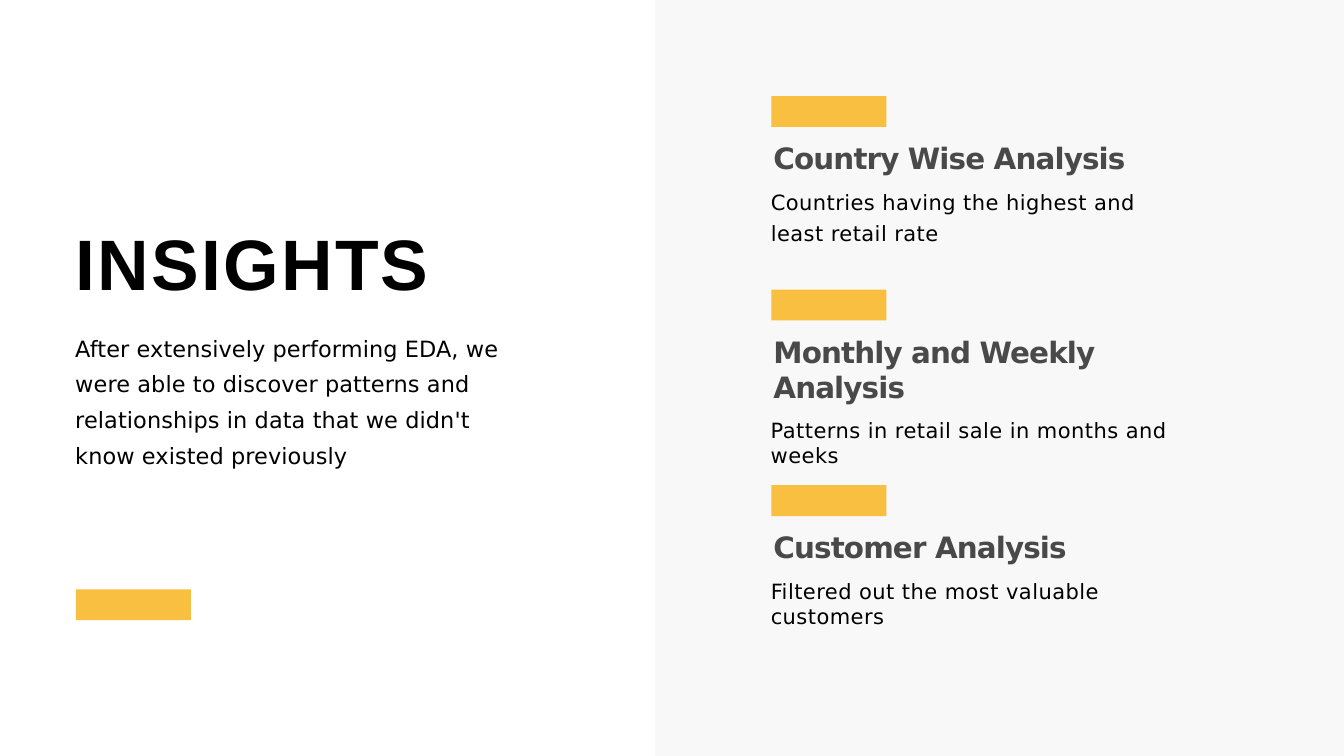
from lxml import etree
from pptx import Presentation
from pptx import util as u
from pptx.dml.color import RGBColor
from pptx.enum import shapes, text
from pptx.oxml.ns import qn

COLORS = {"panel": "DDDDDD", "accent": "F9BF40", "heading": "494949", "text": "000000"}
PANEL_OPACITY = 18

TITLE = "INSIGHTS"
SUMMARY = (
    "After extensively performing EDA, we were able to discover patterns and "
    "relationships in data that we didn't know existed previously"
)
TOPICS = [
    {"top": 1.43, "width": 6.15, "height": 1.87, "heading": "Country Wise Analysis",
     "detail": "Countries having the highest and least retail rate",
     "spacing": {"line_spacing": 1.25, "space_before": u.Pt(7.5)}},
    {"top": 4.31, "width": 6.83, "height": 1.4, "heading": "Monthly and Weekly Analysis",
     "detail": "Patterns in retail sale in months and weeks",
     "spacing": {"space_before": u.Pt(14.2)}},
    {"top": 7.22, "width": 6.55, "height": 1.4, "heading": "Customer Analysis",
     "detail": "Filtered out the most valuable customers",
     "spacing": {"space_before": u.Pt(14.2)}},
]

STYLES = {
    "title": {"font": {"name": "Arial", "size": u.Pt(76.5), "bold": True},
              "color": "text", "tracking": 2.5, "indent": 0.01},
    "summary": {"font": {"name": "DejaVu Sans", "size": u.Pt(24), "bold": False},
                "color": "text", "tracking": 0.1, "indent": 0.01},
    "heading": {"font": {"name": "DejaVu Sans", "size": u.Pt(31.5), "bold": True},
                "color": "heading", "tracking": -0.9, "indent": 0.05},
    "detail": {"font": {"name": "DejaVu Sans", "size": u.Pt(22.5), "bold": False},
               "color": "text", "tracking": 0.45, "indent": 0.01},
}

BAR_WIDTH, BAR_HEIGHT = 1.71, 0.46
TOPIC_LEFT, TEXT_LEFT, TEXT_DROP = 11.48, 11.46, 0.37


def set_all(target, values):
    for name, value in values.items():
        setattr(target, name, value)


def add_block(page, left, top, width, height, color):
    block = page.shapes.add_shape(
        shapes.MSO_SHAPE.RECTANGLE, *map(u.Inches, (left, top, width, height)))
    block.shadow.inherit = False
    block.fill.solid()
    block.fill.fore_color.rgb = RGBColor.from_string(COLORS[color])
    block.line.fill.background()
    return block


def add_text(page, left, top, width, height, inset, paragraphs):
    box = page.shapes.add_textbox(*map(u.Inches, (left, top, width, height)))
    frame = box.text_frame
    set_all(frame, {"word_wrap": True, "auto_size": text.MSO_AUTO_SIZE.SHAPE_TO_FIT_TEXT,
                    "margin_left": 0, "margin_right": 0, "margin_bottom": 0,
                    "margin_top": u.Inches(inset)})
    for index, (words, style_name, spacing) in enumerate(paragraphs):
        style = STYLES[style_name]
        para = frame.add_paragraph() if index else frame.paragraphs[0]
        set_all(para, spacing)
        para._p.get_or_add_pPr().set("marL", str(u.Inches(style["indent"])))
        span = para.add_run()
        span.text = words
        set_all(span.font, style["font"])
        span.font.color.rgb = RGBColor.from_string(COLORS[style["color"]])
        span._r.get_or_add_rPr().set("spc", str(round(style["tracking"] * 100)))


def main():
    deck = Presentation()
    deck.slide_width, deck.slide_height = u.Inches(20), u.Inches(11.25)
    page = deck.slides.add_slide(deck.slide_layouts[6])

    panel = add_block(page, 9.75, 0, 10.25, 11.25, "panel")
    tint = panel._element.spPr.find(qn("a:solidFill"))[0]
    etree.SubElement(tint, qn("a:alpha")).set("val", str(PANEL_OPACITY * 1000))

    add_block(page, 1.13, 8.77, BAR_WIDTH, BAR_HEIGHT, "accent")
    add_text(page, 1.11, 3.24, 6.85, 3.75, 0.02, [
        (TITLE, "title", {"space_before": u.Pt(1.4)}),
        (SUMMARY, "summary", {"line_spacing": 1.33, "space_before": u.Pt(22.5)}),
    ])

    for topic in TOPICS:
        add_text(page, TEXT_LEFT, topic["top"] + TEXT_DROP, topic["width"], topic["height"], 0.29, [
            (topic["heading"], "heading", {"space_before": u.Pt(20.7)}),
            (topic["detail"], "detail", topic["spacing"]),
        ])
        add_block(page, TOPIC_LEFT, topic["top"], BAR_WIDTH, BAR_HEIGHT, "accent")

    deck.save("out.pptx")


if __name__ == "__main__":
    main()
